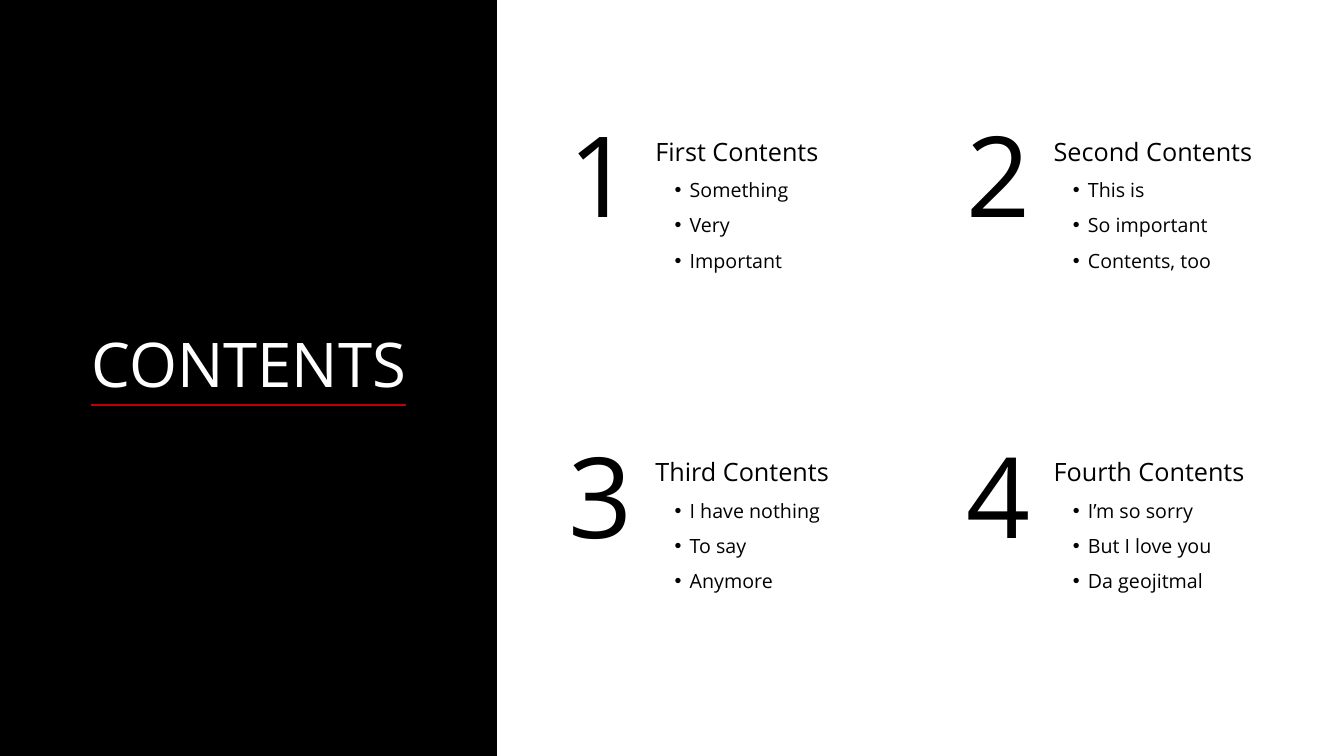
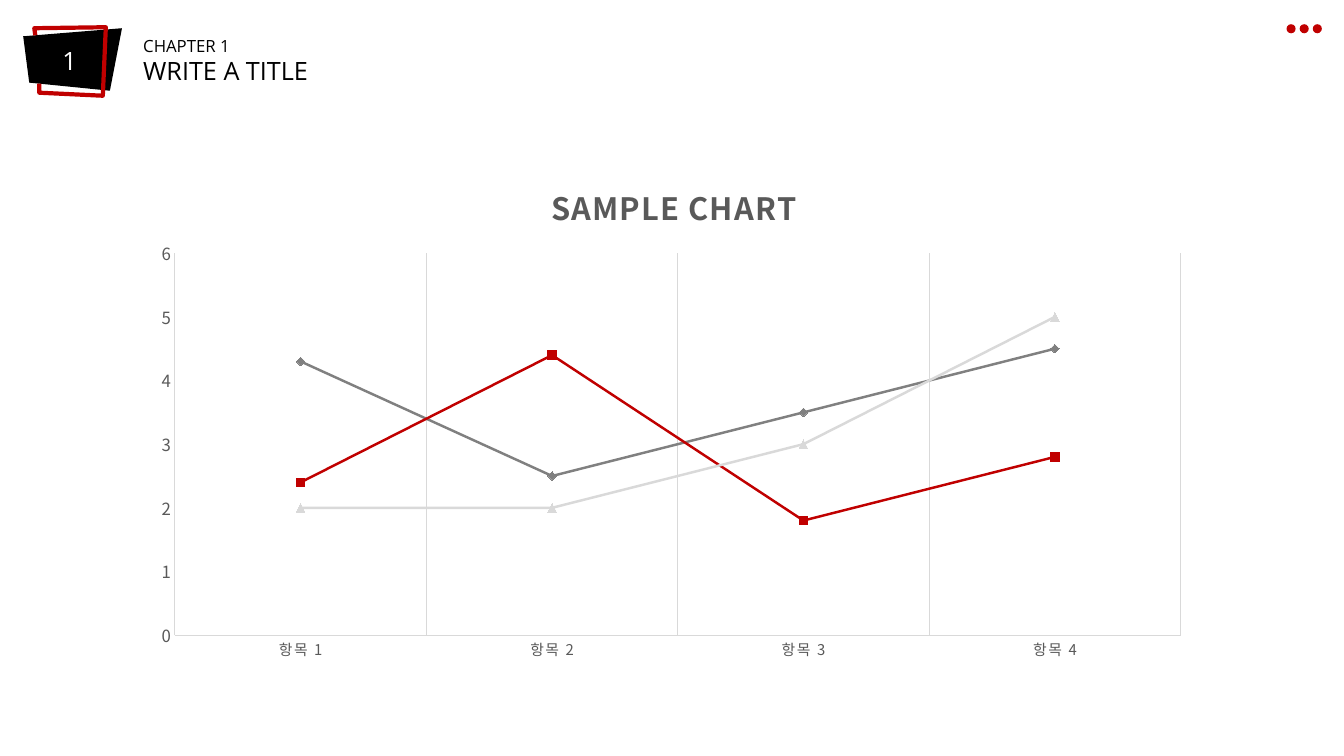
from lxml import etree
from pptx import Presentation
from pptx.chart.data import CategoryChartData
from pptx.dml.color import RGBColor
from pptx.enum.chart import XL_CHART_TYPE as ChartType, XL_MARKER_STYLE as Marker, XL_TICK_MARK as Tick
from pptx.enum.shapes import MSO_CONNECTOR as Connector, MSO_SHAPE as Preset
from pptx.enum.text import MSO_ANCHOR as Anchor, MSO_AUTO_SIZE as AutoSize, PP_ALIGN as Align
from pptx.oxml.ns import qn
from pptx.util import Inches, Pt

# Shared look
FONT, CHART_FONT = "Open Sans", "Noto Sans CJK KR"
BLACK, WHITE, RED = "000000", "FFFFFF", "C00000"
DARK_GREY, GREY, LIGHT_GREY = "595959", "808080", "D9D9D9"

# Contents slide
SECTIONS = [
    ("First Contents", ["Something", "Very", "Important"]),
    ("Second Contents", ["This is", "So important", "Contents, too"]),
    ("Third Contents", ["I have nothing", "To say", "Anymore"]),
    ("Fourth Contents", ["I’m so sorry", "But I love you", "Da geojitmal"]),
]
GRID_LEFT, GRID_TOP, COLUMN_STEP, ROW_STEP = 5.54, 1, 3.95, 3.18

# Chart slide
CHAPTER = [("CHAPTER 1", 12), ("WRITE A TITLE", 18)]
BADGE = [(0.23, 0.36), (0.29, 0.82), (1.09, 0.9), (1.21, 0.28)]
BADGE_FRAME = [(0.35, 0.35), (0.34, 0.28), (1.05, 0.27), (1.02, 0.95), (0.39, 0.92), (0.39, 0.83)]
CATEGORIES = ["항목 1", "항목 2", "항목 3", "항목 4"]
SERIES = [
    ("Series 1", [4.3, 2.5, 3.5, 4.5], GREY, Marker.DIAMOND),
    ("Series 2", [2.4, 4.4, 1.8, 2.8], RED, Marker.SQUARE),
    ("Series 3", [2, 2, 3, 5], LIGHT_GREY, Marker.TRIANGLE),
]


def rgb(color):
    return RGBColor.from_string(color)


def set_font(font, size, color, name=FONT, bold=False):
    font.name, font.size, font.bold = name, Pt(size), bold
    font.color.rgb = rgb(color)


def set_line(line, color, width):
    line.color.rgb = rgb(color)
    line.width = Pt(width)


def paint(shape, fill=None, line=None, width=1):
    shape.shadow.inherit = False
    if fill:
        shape.fill.solid()
        shape.fill.fore_color.rgb = rgb(fill)
    else:
        shape.fill.background()
    if line:
        set_line(shape.line, line, width)
    else:
        shape.line.fill.background()


def write(box, place, lines, color=BLACK, align=Align.LEFT, wrap=True):
    """Place a text shape and fill it with (text, size) lines."""
    box.left, box.top, box.width, box.height = map(Inches, place)
    frame = box.text_frame
    frame.word_wrap, frame.auto_size = wrap, AutoSize.NONE
    frame.vertical_anchor = Anchor.TOP
    for index, (text, size) in enumerate(lines):
        para = frame.add_paragraph() if index else frame.paragraphs[0]
        para.text, para.alignment = text, align
        para.space_before = Pt(0)
        set_font(para.font, size, color)
    return frame.paragraphs


def add_text(page, place, *args, **options):
    return write(page.shapes.add_textbox(0, 0, 0, 0), place, *args, **options)


def set_bullet(para, bulleted):
    props = para._p.get_or_add_pPr()
    props.set("marL", str(Inches(0.34 if bulleted else 0)))
    props.set("indent", str(Inches(-0.15 if bulleted else 0)))
    if bulleted:
        etree.SubElement(props, qn("a:buFont")).set("typeface", "Arial")
        etree.SubElement(props, qn("a:buChar")).set("char", "•")
    else:
        etree.SubElement(props, qn("a:buNone"))


def add_outline(page, points, closed, **style):
    corners = [(Inches(x), Inches(y)) for x, y in points]
    builder = page.shapes.build_freeform(*corners[0])
    builder.add_line_segments(corners[1:], close=closed)
    paint(builder.convert_to_shape(), **style)


def set_layout(parent, position, **fractions):
    """Give a chart part a manual layout in fractions of the chart."""
    for old in parent.findall(qn("c:layout")):
        parent.remove(old)
    layout = etree.Element(qn("c:layout"))
    manual = etree.SubElement(layout, qn("c:manualLayout"))
    if "w" in fractions:
        etree.SubElement(manual, qn("c:layoutTarget")).set("val", "inner")
    for side in ("x", "y"):
        etree.SubElement(manual, qn(f"c:{side}Mode")).set("val", "edge")
    for side, value in fractions.items():
        etree.SubElement(manual, qn(f"c:{side}")).set("val", str(value))
    parent.insert(position, layout)


def build_contents(deck):
    page = deck.slides.add_slide(deck.slide_layouts[4])

    # Black panel behind the title, red rule under it
    panel = page.shapes.add_shape(Preset.RECTANGLE, 0, 0, Inches(4.93), deck.slide_height)
    paint(panel, BLACK)
    panel.element.getparent().insert(2, panel.element)
    write(page.shapes.title, (0.7, 3.18, 3.54, 0.84), [("CONTENTS", 44)], WHITE, Align.CENTER)
    rule = page.shapes.add_connector(
        Connector.STRAIGHT, Inches(0.9), Inches(4.02), Inches(4.03), Inches(4.02))
    set_line(rule.line, RED, 1.5)
    etree.SubElement(rule.element.spPr, qn("a:effectLst"))

    # Two by two grid of numbered lists
    bodies = [box for box in page.placeholders if box.placeholder_format.idx > 0]
    for index, (body, (heading, items)) in enumerate(zip(bodies, SECTIONS)):
        row, column = divmod(index, 2)
        left, top = GRID_LEFT + column * COLUMN_STEP, GRID_TOP + row * ROW_STEP
        add_text(page, (left, top, 0.86, 1.45), [(str(index + 1), 80)], wrap=False)
        lines = [(heading, 18)] + [(item, 14) for item in items]
        paras = write(body, (left + 0.86, top + 0.15, 2.3, 1.62), lines)
        for number, para in enumerate(paras):
            para.line_spacing = 1.5
            set_bullet(para, number > 0)


def add_line_chart(page):
    data = CategoryChartData()
    data.categories = CATEGORIES
    for name, values, _, _ in SERIES:
        data.add_series(name, values)
    place = map(Inches, (1.42, 1.54, 10.5, 5.12))
    chart = page.shapes.add_chart(ChartType.LINE_MARKERS, *place, data).chart
    set_font(chart.font, 10, BLACK, CHART_FONT)
    chart.has_legend = False

    # Title
    chart.has_title = True
    title = chart.chart_title.text_frame.paragraphs[0]
    title.text = "SAMPLE CHART"
    set_font(title.font, 22, DARK_GREY, CHART_FONT, bold=True)

    # Axes
    categories, values = chart.category_axis, chart.value_axis
    for axis, size in ((categories, 10.6), (values, 12)):
        axis.major_tick_mark = axis.minor_tick_mark = Tick.NONE
        set_font(axis.tick_labels.font, size, DARK_GREY, CHART_FONT)
        set_line(axis.format.line, LIGHT_GREY, 0.75)
    categories.has_major_gridlines = True
    set_line(categories.major_gridlines.format.line, LIGHT_GREY, 0.75)
    values.has_major_gridlines = False
    values.minimum_scale, values.maximum_scale, values.major_unit = 0, 6, 1

    # Series
    chart.plots[0].vary_by_categories = False
    for series, (_, _, color, style) in zip(chart.plots[0].series, SERIES):
        series.smooth = False
        set_line(series.format.line, color, 1.75)
        marker = series.marker
        marker.style, marker.size = style, 6
        marker.format.fill.solid()
        marker.format.fill.fore_color.rgb = rgb(color)
        set_line(marker.format.line, color, 0.75)

    # Letter spacing and layout
    root = chart.element
    for part, spacing in (("c:title", 100), ("c:catAx", 120)):
        for props in root.xpath(f".//{part}//a:defRPr"):
            props.set("spc", str(spacing))
    set_layout(root.xpath(".//c:title")[0], 1, x=0.38, y=0.04)
    set_layout(root.xpath(".//c:plotArea")[0], 0, x=0.03, y=0.19, w=0.95, h=0.74)


def build_chart_page(deck):
    page = deck.slides.add_slide(deck.slide_layouts[5])

    # Chapter badge and title
    add_outline(page, BADGE, True, fill=BLACK)
    add_outline(page, BADGE_FRAME, False, line=RED, width=3)
    write(page.shapes.title, (1.32, 0.3, 4, 0.61), CHAPTER)

    # Three dots in the corner
    for index in range(3):
        dot = page.shapes.add_shape(Preset.OVAL, Inches(12.76 + index * 0.13), Inches(0.24),
                                    Inches(0.09), Inches(0.09))
        paint(dot, RED)

    add_line_chart(page)
    add_text(page, (0.52, 0.4, 0.35, 0.4), [("1", 18)], WHITE, wrap=False)


def main():
    deck = Presentation()
    deck.slide_width, deck.slide_height = Inches(13.33), Inches(7.5)
    build_contents(deck)
    build_chart_page(deck)
    deck.save("out.pptx")


if __name__ == "__main__":
    main()
